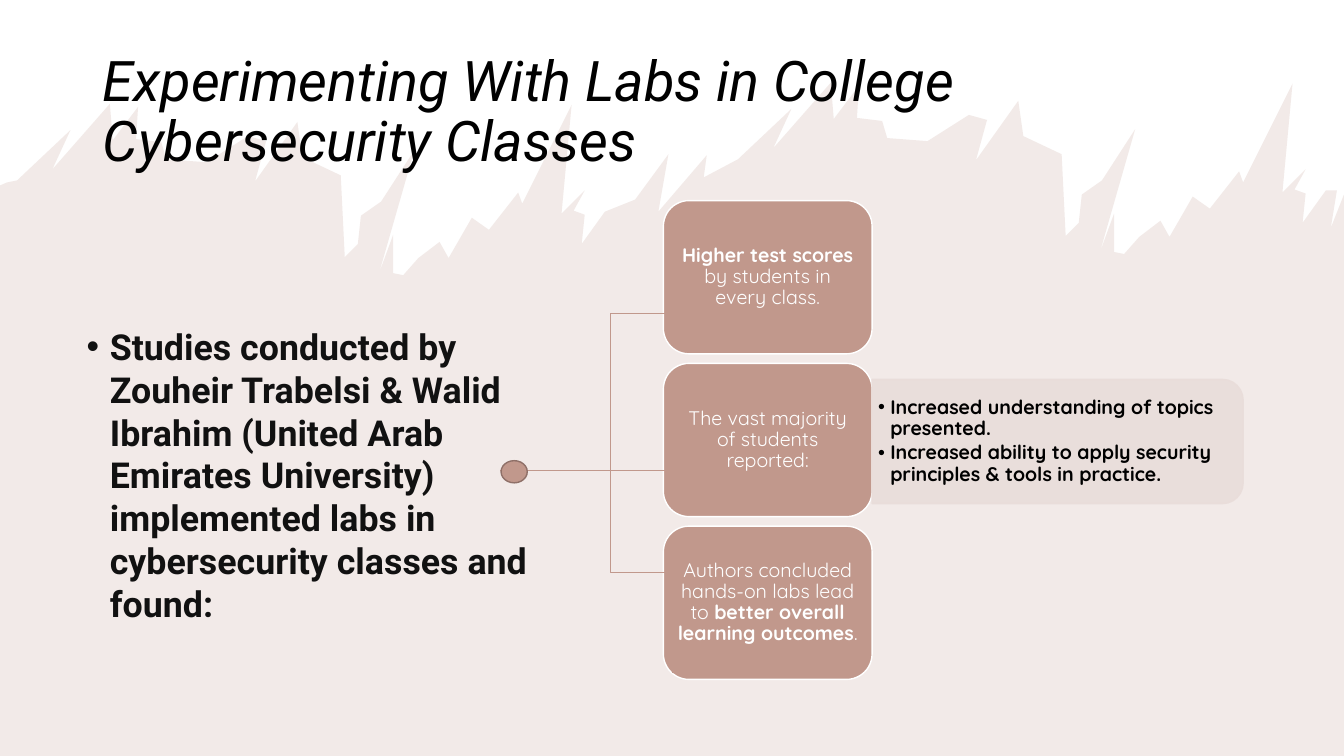
from collections import namedtuple
from lxml import etree
from pptx import Presentation, util as u
from pptx.dml.color import RGBColor
from pptx.enum import shapes, text
from pptx.oxml.ns import qn

Box = namedtuple("Box", "left top width height")
PAGE = Box(0, 0, 13.33, 7.5)
COLORS = {"clay": "C1988C", "rim": "8F7068", "panel": "E9DDDA",
          "white": "FFFFFF", "black": "000000", "ink": "111111"}
CARDS = [
    [("Higher test scores ", True), ("by students in every class.", False)],
    [("The vast majority of students reported:", False)],
    [("Authors concluded hands-on labs lead to ", False),
     ("better overall learning outcomes", True), (".", False)],
]
FINDINGS = ["Increased understanding of topics presented.",
            "Increased ability to apply security principles & tools in practice."]
# Corners of one ridge of the torn edge, which shows twice across the page.
RIDGE = [(7.32, 1.58), (7.85, 1.08), (7.67, 1.47), (8.24, 0.82), (8.27, 1.18), (8.52, 0.85),
         (8.5, 1.17), (8.75, 1.2), (8.8, 1.37), (9.2, 1.4), (9.61, 1.14), (9.79, 1.19),
         (9.68, 1.59), (10.1, 1), (10.15, 1.35), (10.53, 1.53), (10.57, 2.34), (10.7, 2.21),
         (10.73, 1.93), (10.93, 1.79), (11.26, 1.28), (10.91, 2.5), (11.05, 2.12),
         (11.05, 2.5), (11.15, 2.52), (11.3, 2.35), (11.51, 2.19), (11.6, 2.35),
         (11.83, 1.95), (12, 2.07), (12.29, 1.7), (12.33, 1.81), (12.82, 0.83),
         (12.72, 1.91), (12.95, 1.68), (12.84, 1.88), (12.95, 1.92), (12.92, 2.21), (13.15, 1.89)]
BRIDGE = [(6.3, 1.98), (6.63, 1.53), (6.53, 2.1), (7.01, 1.54), (6.98, 1.76)]
EDGE = [(13.26, 1.89), (13.2, 2.26), (13.33, 1.93)]


def inches(box):
    return [u.Inches(value) for value in box]


def paint(fill, name, opacity=100):
    fill.solid()
    fill.fore_color.rgb = RGBColor.from_string(COLORS[name])
    if opacity < 100:
        color = fill._xPr.find(qn("a:solidFill"))[0]
        etree.SubElement(color, qn("a:alpha")).set("val", str(opacity * 1000))


def set_font(para, name, size, color, **styles):
    para.font.name, para.font.size = name, u.Pt(size)
    para.font.color.rgb = RGBColor.from_string(COLORS[color])
    for style, value in styles.items():
        setattr(para.font, style, value)


def set_bullet(para, indent):
    """Call after spacing and before fonts, as the elements have a fixed order."""
    props = para._p.get_or_add_pPr()
    props.set("marL", str(u.Inches(indent)))
    props.set("indent", str(-u.Inches(indent)))
    etree.SubElement(props, qn("a:buFont")).set("typeface", "Arial")
    etree.SubElement(props, qn("a:buChar")).set("char", "•")


def set_frame(frame):
    frame.word_wrap, frame.vertical_anchor = True, text.MSO_ANCHOR.MIDDLE
    frame.margin_left = frame.margin_right = u.Inches(0.06)
    frame.margin_top = frame.margin_bottom = u.Inches(0.03)


def add_block(page, kind, box, fill, line, opacity=100):
    block = page.shapes.add_shape(kind, *inches(box))
    block.shadow.inherit = False
    paint(block.fill, fill, opacity)
    block.line.width = u.Pt(1)
    paint(block.line.fill, line, opacity)
    return block


def add_backdrop(page, box):
    """The torn, tinted ground, behind everything else."""
    points = [(0, box.height), (0, 1.84), (0.07, 1.81)]
    points += [(x - 7.15, y + 0.21) for x, y in RIDGE]
    points += BRIDGE + RIDGE + EDGE + [(box.width, box.height)]
    points = [(x * 100, y * 100) for x, y in points]
    builder = page.shapes.build_freeform(*points[0], scale=u.Inches(0.01))
    builder.add_line_segments(points[1:], close=True)
    torn = builder.convert_to_shape(*inches(box[:2]))
    torn.shadow.inherit = False
    torn.line.fill.background()
    paint(torn.fill, "clay", 20)
    page.shapes._spTree.insert(2, torn._element)


def fill_placeholder(holder, box, words, anchor):
    holder.left, holder.top, holder.width, holder.height = inches(box)
    frame = holder.text_frame
    frame.text, frame.word_wrap, frame.vertical_anchor = words, True, anchor
    frame.auto_size = text.MSO_AUTO_SIZE.NONE
    para = frame.paragraphs[0]
    para.alignment = text.PP_ALIGN.LEFT
    return para


def add_title(page, box):
    para = fill_placeholder(page.shapes.title, box,
                            "Experimenting With Labs in College Cybersecurity Classes",
                            text.MSO_ANCHOR.MIDDLE)
    para.line_spacing = 0.9
    set_font(para, "Roboto", 40, "black", italic=True)


def add_study(page, box):
    para = fill_placeholder(page.placeholders[1], box,
                            "Studies conducted by Zouheir Trabelsi & Walid Ibrahim (United Arab Emirates "
                            "University) implemented labs in cybersecurity classes and found:",
                            text.MSO_ANCHOR.TOP)
    para.space_before = u.Pt(9.1)
    set_bullet(para, 0.23)
    set_font(para, "Roboto", 25.5, "ink", bold=True)


def add_card(page, box, spans):
    card = add_block(page, shapes.MSO_SHAPE.ROUNDED_RECTANGLE, box, "clay", "white")
    set_frame(card.text_frame)
    para = card.text_frame.paragraphs[0]
    para.alignment, para.line_spacing = text.PP_ALIGN.CENTER, 0.9
    set_font(para, "Quicksand", 14, "white")
    for words, bold in spans:
        span = para.add_run()
        span.text, span.font.bold = words, bold


def add_findings(page, box):
    """A panel turned on its side, with the list over it."""
    across, along = box.height / 0.9, box.width
    middle = box.top + box.height / 2
    panel = add_block(page, shapes.MSO_SHAPE.ROUND_2_SAME_RECTANGLE,
                      (box.left + (along - across) / 2, middle - along / 2, across, along),
                      "panel", "panel", 90)
    panel.rotation = 90
    frame = page.shapes.add_textbox(*inches(box._replace(width=box.width - 0.06))).text_frame
    set_frame(frame)
    for index, words in enumerate(FINDINGS):
        para = frame.add_paragraph() if index else frame.paragraphs[0]
        para.text, para.line_spacing, para.space_after = words, 0.9, u.Pt(2)
        set_bullet(para, 0.12)
        set_font(para, "Quicksand", 14, "black", bold=True)


def add_outcomes(page, box):
    """Three stacked cards, with the findings beside the middle one."""
    pitch = box.height * 0.34
    width, height = box.width * 0.36, box.height * 0.32
    for row, spans in enumerate(CARDS):
        add_card(page, Box(box.left, box.top + row * pitch, width, height), spans)
    add_findings(page, Box(box.left + width, box.top + pitch + 0.22, box.width - width, 1.11))


def add_link(page, kind, *ends):
    link = page.shapes.add_connector(kind, *inches(ends))
    link.line.width = u.Pt(0.5)
    paint(link.line.fill, "clay")
    etree.SubElement(link._element.spPr, qn("a:effectLst"))
    return link


def add_branches(page, box):
    """Lines from a dot at the left of the box to the three cards."""
    elbow, straight = shapes.MSO_CONNECTOR.ELBOW, shapes.MSO_CONNECTOR.STRAIGHT
    middle, fork = box.top + 1.56, box.left + box.width / 2
    upper = add_link(page, elbow, box.left, middle, box.left + box.width, box.top)
    etree.SubElement(upper.line._get_or_add_ln(), qn("a:tailEnd")).set("type", "triangle")
    add_block(page, shapes.MSO_SHAPE.OVAL, (box.left + 0.01, middle - 0.1, 0.26, 0.22), "clay", "rim")
    add_link(page, straight, fork, middle, fork + 0.65, middle)
    drop, reach = box.top + box.height - middle, 0.62
    x, y = fork + reach / 2, middle + drop / 2
    lower = add_link(page, elbow, x + drop / 2, y - reach / 2, x - drop / 2, y + reach / 2)
    lower._element.spPr.find(qn("a:xfrm")).set("rot", str(270 * 60000))


def add_study_page(deck):
    page = deck.slides.add_slide(deck.slide_layouts[1])
    add_backdrop(page, PAGE)
    add_title(page, Box(0.92, 0.4, 11.5, 1.45))
    add_study(page, Box(0.76, 3.17, 5.08, 3.73))
    add_outcomes(page, Box(6.58, 1.99, 5.75, 4.75))
    add_branches(page, Box(4.96, 3.11, 2.18, 3.57))


def main():
    deck = Presentation()
    deck.slide_width, deck.slide_height = inches(PAGE[2:])
    add_study_page(deck)
    deck.save("out.pptx")


if __name__ == "__main__":
    main()
